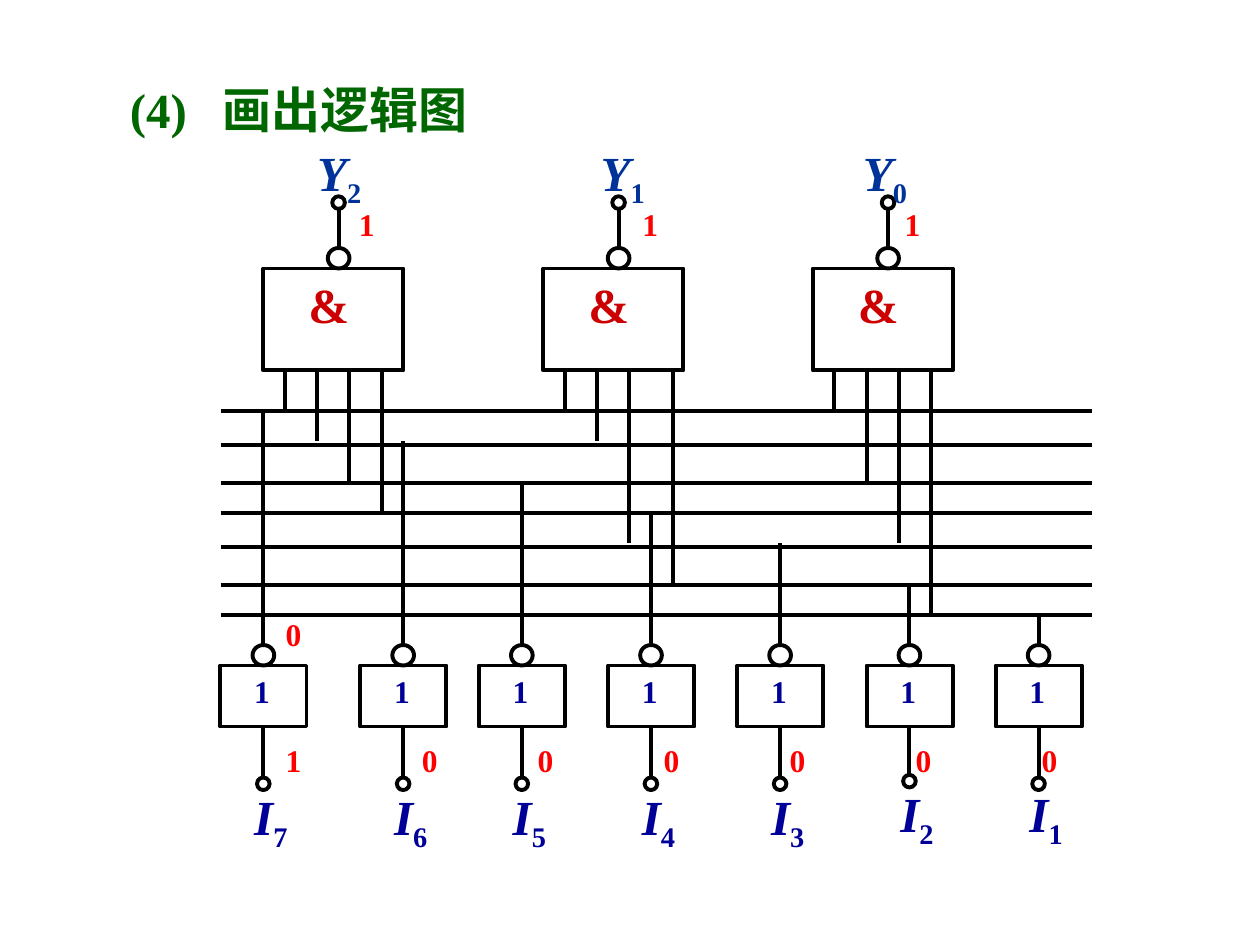
from pptx import Presentation
from pptx.dml.color import RGBColor
from pptx.enum.shapes import MSO_CONNECTOR, MSO_SHAPE
from pptx.enum.text import MSO_ANCHOR, PP_ALIGN
from pptx.oxml.ns import qn
from pptx.util import Pt
from lxml import etree

RECT = MSO_SHAPE.RECTANGLE
OVAL = MSO_SHAPE.OVAL
STRAIGHT = MSO_CONNECTOR.STRAIGHT
TOP = MSO_ANCHOR.TOP
LEFT = PP_ALIGN.LEFT

BLACK, GREEN, RED, DARK_RED = "000000", "006600", "FF0000", "CC0000"
NAVY, BLUE = "000099", "003399"


def color(value):
    return RGBColor.from_string(value)


class Diagram:
    font = "Times New Roman"
    weight = 2.25
    large, small = 28, 18

    def __init__(self, slide):
        self.slide = slide

    def fill_text(self, sp, runs, size, ink):
        tf = sp.text_frame
        tf.word_wrap = False
        tf.vertical_anchor = TOP
        tf.margin_left = tf.margin_right = Pt(7.2)
        tf.margin_top = tf.margin_bottom = Pt(3.6)
        p = tf.paragraphs[0]
        p.alignment = LEFT
        p.space_before = Pt(size / 10)
        p.line_spacing = 1.0
        for text, italic, baseline in runs:
            r = p.add_run()
            r.text = text
            r.font.name = self.font
            r.font.size = Pt(size)
            r.font.bold = True
            r.font.italic = italic
            r.font.color.rgb = color(ink)
            if baseline:
                r.font._element.set("baseline", str(baseline))
        return p

    def title(self, number, text, x, y, w, h, tab):
        sp = self.slide.shapes.title
        sp.left, sp.top, sp.width, sp.height = Pt(x), Pt(y), Pt(w), Pt(h)
        runs = [(number + "\t" + text, False, 0)]
        p = self.fill_text(sp, runs, self.large, GREEN)
        sp.text_frame.margin_left = Pt(14.2)
        tabs = etree.SubElement(p._p.get_or_add_pPr(), qn("a:tabLst"))
        etree.SubElement(tabs, qn("a:tab"), pos=str(Pt(tab)), algn="l")

    def label(self, text, x, y, size, ink, w=24, h=28.8):
        sp = self.slide.shapes.add_textbox(Pt(x), Pt(y), Pt(w), Pt(h))
        self.fill_text(sp, [(text, False, 0)], size, ink)

    def variable(self, name, index, x, y, w, ink):
        sp = self.slide.shapes.add_textbox(Pt(x), Pt(y), Pt(w), Pt(41))
        runs = [(name, True, 0), (str(index), False, -25000)]
        self.fill_text(sp, runs, self.large, ink)

    def outline(self, kind, x, y, w, h):
        sp = self.slide.shapes.add_shape(kind, Pt(x), Pt(y), Pt(w), Pt(h))
        sp.shadow.inherit = False
        sp.fill.background()
        sp.line.color.rgb = color(BLACK)
        sp.line.width = Pt(self.weight)

    def bubble(self, cx, y):
        self.outline(OVAL, cx - 6.2, y, 12.4, 11.7)

    def terminal(self, cx, y):
        self.outline(OVAL, cx - 3.6, y, 7.2, 7.2)

    def wire(self, x1, y1, x2, y2):
        c = self.slide.shapes.add_connector(STRAIGHT, Pt(x1), Pt(y1), Pt(x2), Pt(y2))
        c.line.color.rgb = color(BLACK)
        c.line.width = Pt(self.weight)
        etree.SubElement(c._element.spPr, qn("a:effectLst"))

    def nand(self, cx, index, name_x, taps):
        left = cx - 43
        self.outline(RECT, left, 153.4, 80, 58.3)
        self.label("&", left + 18.6, 153.4, self.large, DARK_RED, 43, 41)
        self.bubble(cx, 141.7)
        self.wire(cx, 141.7, cx, 118.2)
        self.terminal(cx, 112.2)
        self.variable("Y", index, name_x, 77.8, 41, BLUE)
        self.label("1", name_x + 23.8, 113.8, self.small, RED)
        for offset, end in taps:
            self.wire(left + offset, 211.7, left + offset, end)

    def inverter(self, cx, index, value, value_x, end, terminal_y, name_y):
        self.outline(RECT, cx - 24.5, 380.3, 49.2, 34.9)
        self.label("1", cx - 12.3, 380.3, self.small, NAVY)
        self.bubble(cx, 368.6)
        self.wire(cx, 368.6, cx, end)
        self.wire(cx, 415.2, cx, 444.2)
        self.terminal(cx, terminal_y)
        self.label(value, value_x, 419.8, self.small, RED)
        self.variable("I", index, cx - 12.3, name_y, 34.6, NAVY)


prs = Presentation()
prs.slide_width, prs.slide_height = Pt(720), Pt(540)
d = Diagram(prs.slides.add_slide(prs.slide_layouts[5]))

d.title("(4)", "画出逻辑图", 60, 42, 330, 41, 53)

for bus_y in (234.7, 254.2, 275.8, 293, 312.5, 334.1, 351.4):
    d.wire(126, bus_y, 624, bus_y)

JOINS = (234.7, 252, 275.8, 293, 310.3, 334.1, 351.4)
EVEN = (12.2, 30.7, 49.2, 67.7)
WIDE = (12.2, 30.7, 49.2, 74.2)
NANDS = (
    (193.5, 2, 174.2, EVEN, (0, 1, 2, 3)),
    (353.5, 1, 336.2, WIDE, (0, 1, 4, 5)),
    (507.5, 0, 486, EVEN, (0, 2, 4, 6)),
)
for cx, index, name_x, offsets, buses in NANDS:
    d.nand(cx, index, name_x, [(x, JOINS[b]) for x, b in zip(offsets, buses)])

INVERTERS = (
    (150.5, "1", 156.2, 444.3, 445.7),
    (230.4, "0", 234, 444.3, 445.7),
    (298.2, "0", 300.2, 444.3, 445.7),
    (372, "0", 372.2, 444.3, 445.7),
    (445.8, "0", 444.2, 444.3, 445.7),
    (519.7, "0", 516.2, 442.8, 444.3),
    (593.5, "0", 588.2, 444.3, 444.3),
)
for i, (cx, value, value_x, terminal_y, name_y) in enumerate(INVERTERS):
    d.inverter(cx, 7 - i, value, value_x, JOINS[i], terminal_y, name_y)
d.label("0", 156.2, 347.8, d.small, RED)

prs.save("out.pptx")
